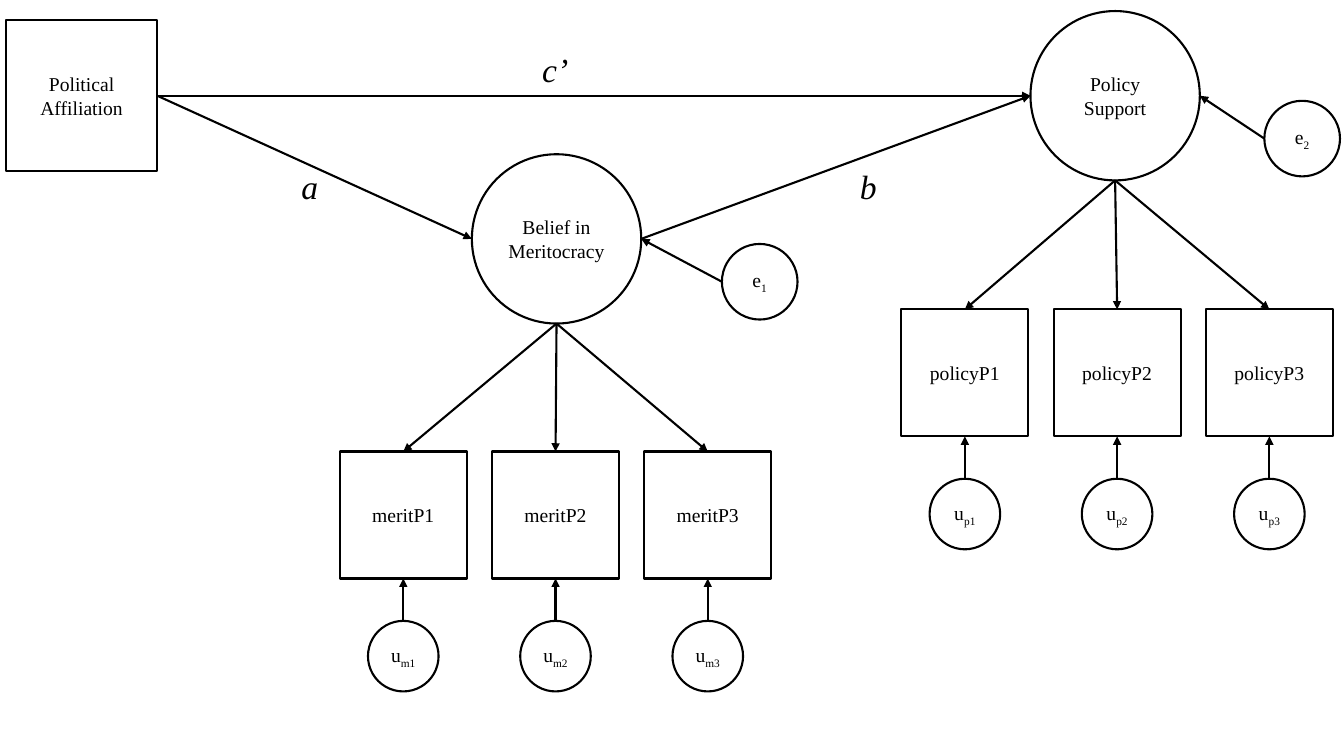
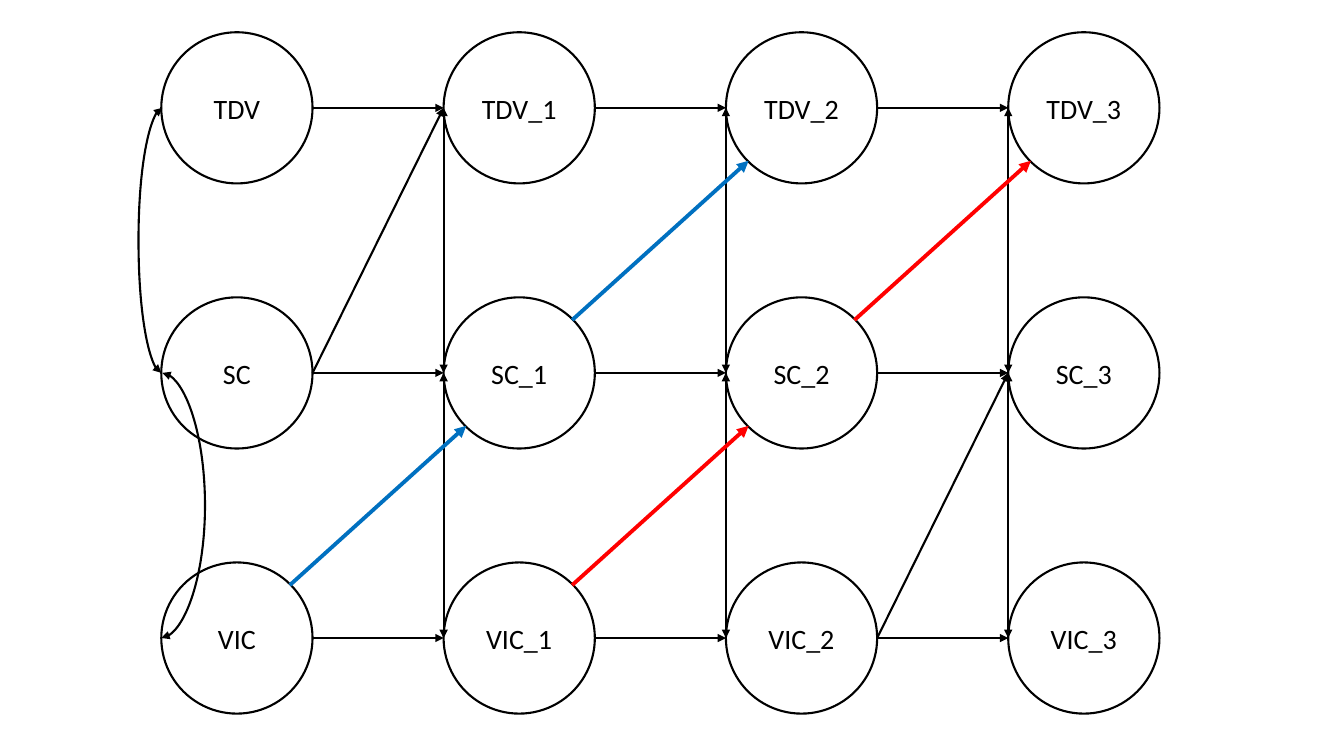
import pptx
import pptx.dml.color
import pptx.enum.shapes
import pptx.enum.text
import pptx.oxml.ns
import pptx.util
from lxml import etree

Inches = pptx.util.Inches
SHAPE = pptx.enum.shapes.MSO_SHAPE
CONNECTOR = pptx.enum.shapes.MSO_CONNECTOR
ALIGN = pptx.enum.text.PP_ALIGN
qn = pptx.oxml.ns.qn

COLORS = {"ink": "000000", "paper": "FFFFFF", "blue": "0070C0", "red": "FF0000"}
DIAGONAL = 0.35  # reach of a circle's 45-degree point, as a share of its diameter
SIDES = {
    "top": (0.5, 0), "bottom": (0.5, 1), "left": (0, 0.5), "right": (1, 0.5),
    "upper right": (0.5 + DIAGONAL, 0.5 - DIAGONAL),
    "lower left": (0.5 - DIAGONAL, 0.5 + DIAGONAL),
}


def rgb(name):
    return pptx.dml.color.RGBColor.from_string(COLORS[name])


def write(tf, text, font, size, sub="", italic=False, align=ALIGN.CENTER):
    """Write one paragraph, with an optional subscript after the text."""
    p = tf.paragraphs[0]
    p.alignment = align
    for part in filter(None, (text, sub)):
        r = p.add_run()
        r.text = part
        r.font.name = font
        r.font.size = pptx.util.Pt(size)
        r.font.italic = italic
        r.font.color.rgb = rgb("ink")
        if part == sub:
            r.font._element.set("baseline", "-25000")


def anchor(sp, side):
    """Return the point on a shape's outline that a side name stands for."""
    fx, fy = SIDES[side]
    return int(sp.left + fx * sp.width), int(sp.top + fy * sp.height)


class Diagram:
    """Holds the style and the current slide."""

    def __init__(self, prs):
        self.prs = prs

    def new_slide(self, font, size):
        self.s = self.prs.slides.add_slide(self.prs.slide_layouts[6])
        self.font, self.size = font, size

    def node(self, kind, x, y, side, text, sub=""):
        sp = self.s.shapes.add_shape(kind, Inches(x), Inches(y), Inches(side), Inches(side))
        sp.shadow.inherit = False
        sp.fill.solid()
        sp.fill.fore_color.rgb = rgb("paper")
        sp.line.color.rgb = rgb("ink")
        sp.line.width = pptx.util.Pt(1.5)
        tf = sp.text_frame
        tf.word_wrap = True
        tf.vertical_anchor = pptx.enum.text.MSO_ANCHOR.MIDDLE
        write(tf, text, self.font, self.size, sub)
        return sp

    def box(self, *args):
        return self.node(SHAPE.RECTANGLE, *args)

    def circle(self, *args):
        return self.node(SHAPE.OVAL, *args)

    def label(self, x, y, text):
        tb = self.s.shapes.add_textbox(Inches(x), Inches(y), Inches(0.46), Inches(0.5))
        tb.text_frame.word_wrap = False
        write(tb.text_frame, text, self.font, 24, italic=True, align=ALIGN.LEFT)

    def connect(self, start, end, kind=CONNECTOR.STRAIGHT, color="ink", width=1.5, both=False):
        cn = self.s.shapes.add_connector(kind, *start, *end)
        cn.line.color.rgb = rgb(color)
        cn.line.width = pptx.util.Pt(width)
        ln = cn.line._get_or_add_ln()
        for tag in ("a:headEnd", "a:tailEnd") if both else ("a:tailEnd",):
            etree.SubElement(ln, qn(tag), type="triangle")
        etree.SubElement(cn._element.spPr, qn("a:effectLst"))
        return cn

    def arrow(self, a, side_a, b, side_b, **style):
        return self.connect(anchor(a, side_a), anchor(b, side_b), **style)

    def arc(self, a, b, bulge):
        """Join the left sides of two shapes by a curve that bulges sideways, in inches."""
        slim = 0.01
        x, y = anchor(a, "left")
        cn = self.connect((x, y), (x + Inches(slim), anchor(b, "left")[1]),
                          kind=CONNECTOR.CURVE, both=True)
        guides = cn._element.spPr.find(qn("a:prstGeom")).get_or_add_avLst()
        etree.SubElement(guides, qn("a:gd"), name="adj1",
                         fmla=f"val {round(bulge / slim * 100000)}")

    def factor(self, x, y, text, items_x, items_y, item, error_dx, error):
        """Draw a latent factor with its three indicators and all error terms."""
        latent = self.circle(x, y, 1.68, text)
        for i in range(3):
            left = items_x + 1.51 * i
            indicator = self.box(left, items_y, 1.26, f"{item}P{i + 1}")
            self.arrow(latent, "bottom", indicator, "top")
            unique = self.circle(left + 0.28, items_y + 1.68, 0.7, "u", f"{item[0]}{i + 1}")
            self.arrow(unique, "top", indicator, "bottom")
        residual = self.circle(x + error_dx, y + 0.89, 0.75, "e", error)
        self.arrow(residual, "left", latent, "right")
        return latent


def mediation_slide(d):
    d.new_slide("Times New Roman", 14)
    merit = d.factor(4.68, 1.53, "Belief in Meritocracy", 3.37, 4.48, "merit", 2.48, "1")
    policy = d.factor(10.22, 0.11, "Policy Support", 8.94, 3.07, "policy", 2.32, "2")
    affiliation = d.box(0.06, 0.2, 1.5, "Political Affiliation")
    d.arrow(affiliation, "right", policy, "left")
    d.arrow(affiliation, "right", merit, "left")
    d.arrow(merit, "right", policy, "left")
    for x, y, text in ((2.89, 1.6, "a"), (5.28, 0.44, "c’"), (8.43, 1.6, "b")):
        d.label(x, y, text)


def panel_slide(d):
    d.new_slide("Calibri", 20)
    rows = ("TDV", "SC", "VIC")
    grid = {
        (name, wave): d.circle(1.6 + 2.8 * wave, 0.32 + 2.63 * row, 1.5,
                               f"{name}_{wave}" if wave else name)
        for row, name in enumerate(rows) for wave in range(4)
    }
    for name in rows:
        for wave in range(3):
            d.arrow(grid[name, wave], "right", grid[name, wave + 1], "left")
    for upper, lower, bulge in (("TDV", "SC", -0.23), ("SC", "VIC", 0.44)):
        d.arc(grid[lower, 0], grid[upper, 0], bulge)
        for wave in range(1, 4):
            d.arrow(grid[lower, wave], "left", grid[upper, wave], "left", both=True)
    for lower, upper, wave in (("SC", "TDV", 0), ("VIC", "SC", 2)):
        d.arrow(grid[lower, wave], "right", grid[upper, wave + 1], "left")
    for lower, upper, wave, color in (("VIC", "SC", 0, "blue"), ("SC", "TDV", 1, "blue"),
                                      ("VIC", "SC", 1, "red"), ("SC", "TDV", 2, "red")):
        d.arrow(grid[lower, wave], "upper right", grid[upper, wave + 1], "lower left",
                color=color, width=2.75)


def main():
    prs = pptx.Presentation()
    prs.slide_width, prs.slide_height = Inches(13.33), Inches(7.5)
    d = Diagram(prs)
    mediation_slide(d)
    panel_slide(d)
    prs.save("out.pptx")


if __name__ == "__main__":
    main()
